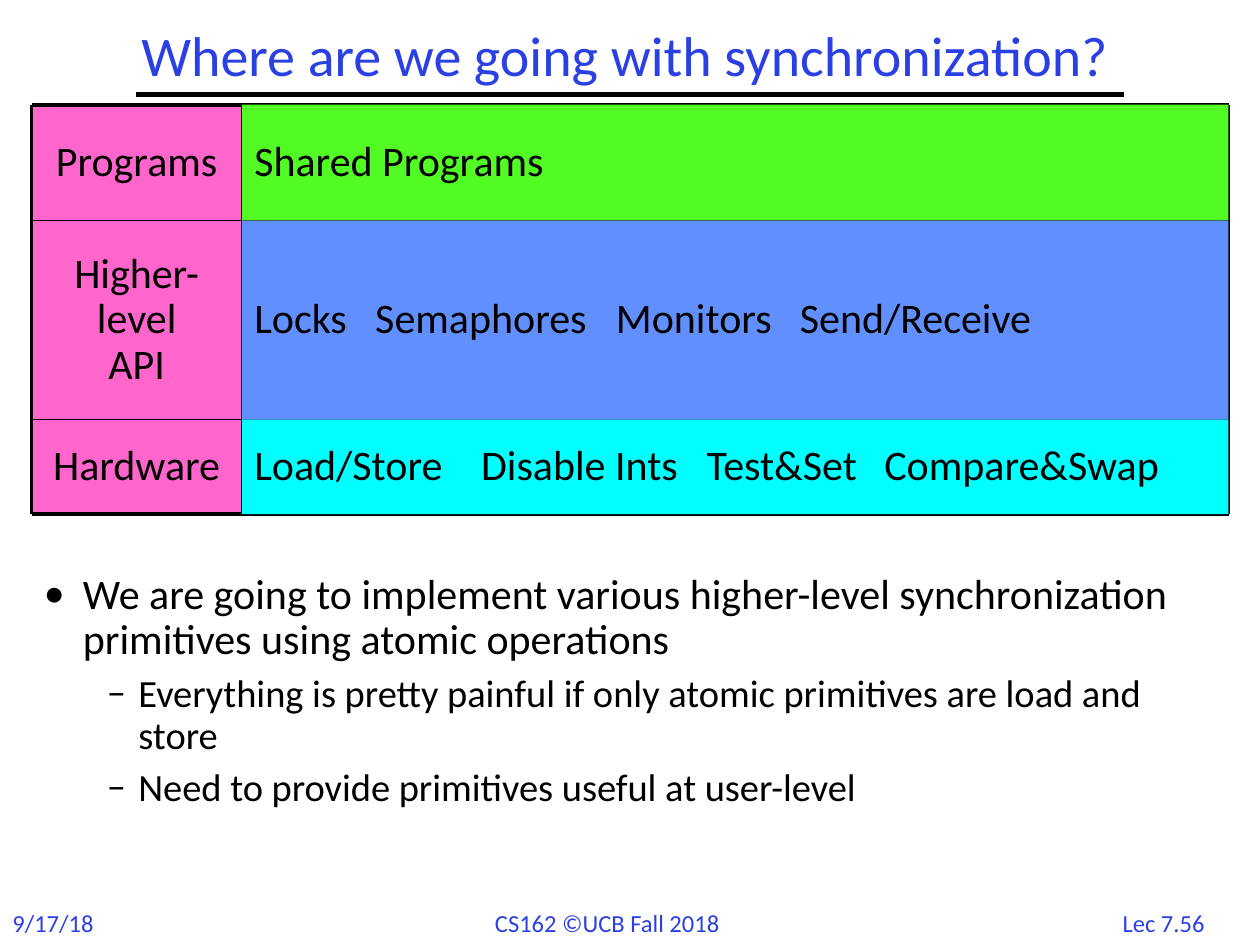
from dataclasses import dataclass

from lxml.etree import SubElement
from pptx import Presentation
from pptx.dml.color import RGBColor
from pptx.enum.shapes import MSO_CONNECTOR, MSO_SHAPE
from pptx.enum.text import MSO_ANCHOR, MSO_AUTO_SIZE, PP_ALIGN
from pptx.oxml.ns import qn
from pptx.util import Inches, Pt

FONT = "Calibri"
BLACK, BLUE, PINK = "000000", "2A40E2", "FF66CC"
LEFT, DIVIDER, RIGHT = 0.25, 1.92, 9.75
TABLE_TOP = 0.83


@dataclass
class Layer:
    label: str
    items: list[str]
    tab_stops: list[float]
    height: float
    color: str


@dataclass
class Footer:
    text: str
    left: float
    width: float
    align: PP_ALIGN


@dataclass
class Bullet:
    text: str
    level: int
    mark: str
    size: int
    margin: float
    hanging: float


LAYERS = [
    Layer("Programs", ["Shared Programs"], [], 0.92, "53FB25"),
    Layer("Higher-level\vAPI", ["Locks", "Semaphores", "Monitors", "Send/Receive"],
          [0.96, 2.87, 4.33], 1.58, "618FFD"),
    Layer("Hardware", ["Load/Store", "Disable Ints", "Test&Set", "Compare&Swap"],
          [1.8, 3.59, 5.0], 0.75, "00FFFF"),
]
FOOTERS = [
    Footer("9/17/18", 0, 0.85, PP_ALIGN.LEFT),
    Footer("CS162 ©UCB Fall 2018", 3.83, 2.08, PP_ALIGN.LEFT),
    Footer("Lec 7.56", 8.78, 0.91, PP_ALIGN.CENTER),
]
BULLETS = [
    Bullet("We are going to implement various higher-level synchronization "
           "primitives using atomic operations", 0, "•", 24, 0.31, 0.31),
    Bullet("Everything is pretty painful if only atomic primitives are load and store",
           1, "–", 22, 0.75, 0.25),
    Bullet("Need to provide primitives useful at user-level", 1, "–", 22, 0.75, 0.25),
]


def rgb(color: str) -> RGBColor:
    return RGBColor.from_string(color)


def add_text(paragraph, text: str, size: int, color: str = BLACK) -> None:
    """Add one run per line, with a line break at each vertical tab."""
    for number, line in enumerate(text.split("\v")):
        if number:
            paragraph.add_line_break()
        run = paragraph.add_run()
        run.text = line
        run.font.name = FONT
        run.font.size = Pt(size)
        run.font.color.rgb = rgb(color)


def add_tab_stops(paragraph, positions: list[float]) -> None:
    tab_list = SubElement(paragraph._p.get_or_add_pPr(), qn("a:tabLst"))
    for position in positions:
        SubElement(tab_list, qn("a:tab"), pos=str(Inches(position)), algn="l")


def add_panel(slide, left: float, top: float, right: float, height: float, color: str):
    """Add a plain filled rectangle and return its paragraph."""
    shape = slide.shapes.add_shape(MSO_SHAPE.RECTANGLE, Inches(left), Inches(top),
                                   Inches(right - left), Inches(height))
    shape.shadow.inherit = False
    shape.fill.solid()
    shape.fill.fore_color.rgb = rgb(color)
    shape.line.fill.background()
    shape.text_frame.word_wrap = True
    shape.text_frame.vertical_anchor = MSO_ANCHOR.MIDDLE
    paragraph = shape.text_frame.paragraphs[0]
    paragraph.line_spacing = 0.9
    return paragraph


def add_line(slide, x1: float, y1: float, x2: float, y2: float, width: float) -> None:
    line = slide.shapes.add_connector(MSO_CONNECTOR.STRAIGHT, Inches(x1), Inches(y1),
                                      Inches(x2), Inches(y2))
    line.line.color.rgb = rgb(BLACK)
    line.line.width = Pt(width)
    SubElement(line._element.spPr, qn("a:effectLst"))


def add_title(slide, text: str) -> None:
    title = slide.shapes.title
    title.left, title.top = Inches(0.5), Inches(0.17)
    title.width, title.height = Inches(8.92), Inches(0.58)
    title.text_frame.auto_size = MSO_AUTO_SIZE.NONE
    title.text_frame.vertical_anchor = MSO_ANCHOR.MIDDLE
    paragraph = title.text_frame.paragraphs[0]
    paragraph.alignment = PP_ALIGN.CENTER
    paragraph.line_spacing = 0.9
    add_text(paragraph, text, 32, BLUE)
    add_line(slide, 1.08, 0.75, 8.92, 0.75, 3)


def add_layers(slide, layers: list[Layer]) -> None:
    edges = [TABLE_TOP]
    for layer in layers:
        edges.append(edges[-1] + layer.height)

    for layer, top in zip(layers, edges):
        paragraph = add_panel(slide, LEFT, top, DIVIDER, layer.height, PINK)
        paragraph.alignment = PP_ALIGN.CENTER
        add_text(paragraph, layer.label, 24)

    for y in edges:
        add_line(slide, LEFT, y, RIGHT, y, 2.25 if y in (edges[0], edges[-1]) else 1)
    for x in (LEFT, DIVIDER, RIGHT):
        add_line(slide, x, edges[0], x, edges[-1], 1 if x == DIVIDER else 2.25)

    for layer, top in zip(layers, edges):
        paragraph = add_panel(slide, DIVIDER, top, RIGHT, layer.height, layer.color)
        paragraph.alignment = PP_ALIGN.LEFT
        if layer.tab_stops:
            add_tab_stops(paragraph, layer.tab_stops)
        add_text(paragraph, "\t".join(layer.items), 24)


def add_bullets(slide, bullets: list[Bullet]) -> None:
    box = slide.shapes.add_textbox(Inches(0.25), Inches(4.5), Inches(9.42), Inches(2.33))
    frame = box.text_frame
    frame.word_wrap = True
    for number, bullet in enumerate(bullets):
        paragraph = frame.add_paragraph() if number else frame.paragraphs[0]
        paragraph.level = bullet.level
        paragraph.line_spacing = 0.9
        if number:
            paragraph.space_before = Pt(6)
        properties = paragraph._p.get_or_add_pPr()
        properties.set("marL", str(Inches(bullet.margin)))
        properties.set("indent", str(-Inches(bullet.hanging)))
        SubElement(properties, qn("a:buFont"), typeface=FONT)
        SubElement(properties, qn("a:buChar"), char=bullet.mark)
        add_text(paragraph, bullet.text, bullet.size)


def add_footer(slide, footer: Footer) -> None:
    box = slide.shapes.add_textbox(Inches(footer.left), Inches(7.16),
                                   Inches(footer.width), Inches(0.34))
    box.text_frame.word_wrap = False
    paragraph = box.text_frame.paragraphs[0]
    paragraph.alignment = footer.align
    add_text(paragraph, footer.text, 14, BLUE)


def main() -> None:
    presentation = Presentation()
    presentation.slide_width, presentation.slide_height = Inches(10), Inches(7.5)
    slide = presentation.slides.add_slide(presentation.slide_layouts.get_by_name("Title Only"))
    for footer in FOOTERS:
        add_footer(slide, footer)
    add_title(slide, "Where are we going with synchronization?")
    add_bullets(slide, BULLETS)
    add_layers(slide, LAYERS)
    presentation.save("out.pptx")


if __name__ == "__main__":
    main()
